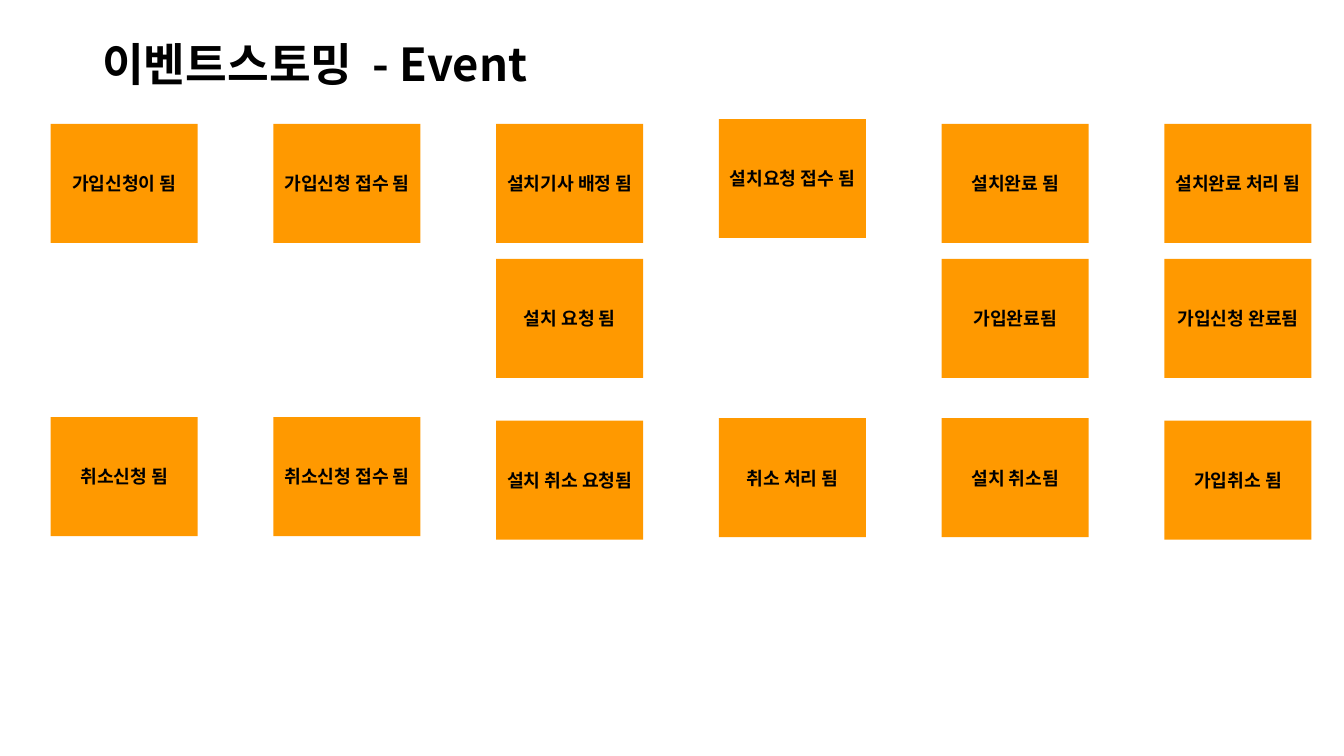
from lxml.etree import SubElement
from pptx import Presentation
from pptx.dml.color import RGBColor
from pptx.enum.shapes import MSO_SHAPE as Preset
from pptx.enum.text import MSO_ANCHOR as Anchor, PP_ALIGN as Align
from pptx.oxml import parse_xml
from pptx.oxml.ns import nsdecls, qn
from pptx.util import Pt

FONT = "Noto Sans CJK KR"
TITLE_RUNS = [("이벤트스토밍", 0), (" ", 7), ("- Event", 0)]
EVENT_ROWS = [
    (88.5, [
        ("가입신청이 됨", 0, 0), ("가입신청 접수 됨", 1, 0), ("설치기사 배정 됨", 2, 0),
        ("설치요청 접수 됨", 3, -3.5), ("설치완료 됨", 4, 0), ("설치완료 처리 됨", 5, 0),
    ]),
    (185, [("설치 요청 됨", 2, 0), ("가입완료됨", 4, 0), ("가입신청 완료됨", 5, 0)]),
    (298, [
        ("취소신청 됨", 0, 0), ("취소신청 접수 됨", 1, 0), ("설치 취소 요청됨", 2, 2.5),
        ("취소 처리 됨", 3, 0.75), ("설치 취소됨", 4, 0.75), ("가입취소 됨", 5, 2.5),
    ]),
]
LEFT, COLUMN_STEP = 36.25, 159.1
CARD_WIDTH, CARD_HEIGHT = 105, 85
FRAME_FORMAT = {"word_wrap": True, "vertical_anchor": Anchor.MIDDLE,
                "margin_top": 0, "margin_bottom": 0}
OUTLINE = (f'<a:ln {nsdecls("a")} w="9525"><a:solidFill><a:srgbClr val="FFFFFF">'
           '<a:alpha val="20000"/></a:srgbClr></a:solidFill></a:ln>')


def color(value):
    return RGBColor.from_string(value)


def apply_format(target, values):
    for name, value in values.items():
        setattr(target, name, value)


def add_run(paragraph, text, size, spacing=0):
    run = paragraph.add_run()
    run.text = text
    apply_format(run.font, {"size": Pt(size), "bold": True, "name": FONT})
    run.font.color.rgb = color("000000")
    properties = run.font._element
    properties.insert(0, parse_xml(OUTLINE))
    SubElement(properties, qn("a:ea"), typeface=FONT)
    if spacing:
        properties.set("spc", str(spacing * 100))


def add_title(slide):
    frame = slide.shapes.add_textbox(Pt(66), Pt(28.8), Pt(828), Pt(38.2)).text_frame
    apply_format(frame, FRAME_FORMAT)
    paragraph = frame.paragraphs[0]
    paragraph.line_spacing = 0.9
    for text, spacing in TITLE_RUNS:
        add_run(paragraph, text, 32.4, spacing)


def add_event(slide, text, column, top):
    shape = slide.shapes.add_shape(
        Preset.RECTANGLE, Pt(LEFT + column * COLUMN_STEP), Pt(top),
        Pt(CARD_WIDTH), Pt(CARD_HEIGHT))
    shape.shadow.inherit = False
    shape.fill.solid()
    shape.fill.fore_color.rgb = color("FF9900")
    shape.line.fill.background()
    apply_format(shape.text_frame, {**FRAME_FORMAT, "margin_left": 0, "margin_right": 0})
    paragraph = shape.text_frame.paragraphs[0]
    paragraph.alignment = Align.CENTER
    add_run(paragraph, text, 13)


def main():
    presentation = Presentation()
    apply_format(presentation, {"slide_width": Pt(960), "slide_height": Pt(540)})
    slide = presentation.slides.add_slide(presentation.slide_layouts[6])
    add_title(slide)
    for top, events in EVENT_ROWS:
        for text, column, offset in events:
            add_event(slide, text, column, top + offset)
    presentation.save("out.pptx")


if __name__ == "__main__":
    main()
